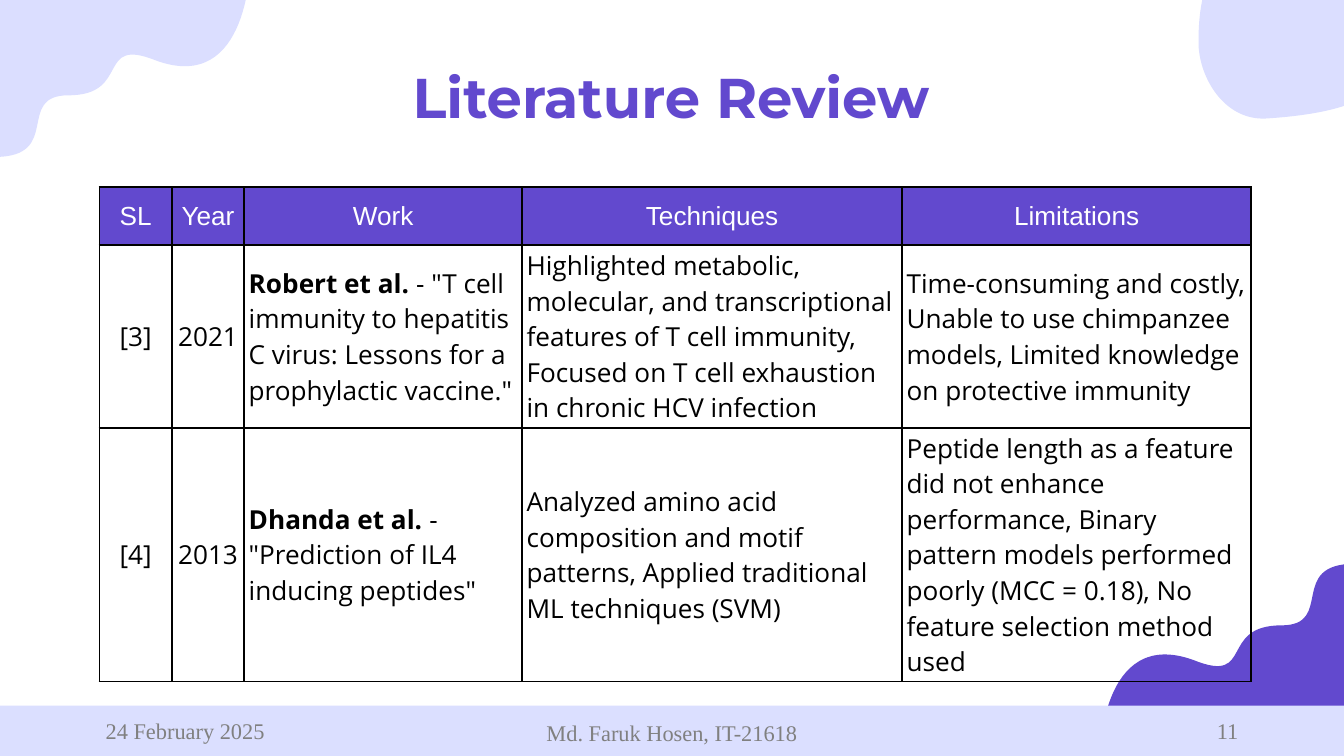
from lxml import etree
from pptx import Presentation
from pptx.dml.color import RGBColor
from pptx.enum.shapes import MSO_SHAPE
from pptx.enum.text import MSO_ANCHOR, PP_ALIGN
from pptx.oxml.ns import qn
from pptx.util import Pt

LEFT, CENTER, RIGHT = PP_ALIGN.LEFT, PP_ALIGN.CENTER, PP_ALIGN.RIGHT
TOP, MIDDLE = MSO_ANCHOR.TOP, MSO_ANCHOR.MIDDLE
RECTANGLE = MSO_SHAPE.RECTANGLE
TITLE_ONLY = 5

PURPLE, LAVENDER, BAR = "6249CE", "DBDEFF", "DBDFFF"
WHITE, BLACK, GRAY = "FFFFFF", "000000", "808080"

WAVE = [
    (0, 0),
    (137, 0), (137, 0), (137, 0),
    (137, 72), (86.4, 53.3), (86.4, 53.3),
    (54, 40.3), (73.4, 72), (39.6, 72),
    (10.8, 72), (36.7, 105), (0, 105),
]
WAVE[4:7] = [(137, 0), (137, 72), (86.4, 53.3)]
BLOB = [
    (688.3, -31),
    (680.4, -31.7), (672.5, -31.7), (665.3, -28.8),
    (659.5, -26.6), (655.9, -24.5), (651.6, -18.7),
    (644.4, -8.6), (641.5, 7.9), (642.2, 25.9),
    (643.7, 43.9), (657.4, 65.5), (679.7, 63.4),
    (702, 61.9), (729.4, 57.6), (737.3, 46.1),
    (753.1, 23), (730.8, -14.4), (716.4, -22.3),
    (707, -26.6), (697.7, -28.8), (688.3, -31),
]

COLUMN_WIDTHS = [38.8, 38.8, 148.9, 203.6, 187]
ROW_HEIGHTS = [31.2, 67, 101]
HEADER = ["SL", "Year", "Work", "Techniques", "Limitations"]
STUDIES = [
    ["[3]", "2021",
     ("Robert et al. ", '- "T cell immunity to hepatitis C virus: '
      'Lessons for a prophylactic vaccine."'),
     "Highlighted metabolic, molecular, and transcriptional features of "
     "T cell immunity, Focused on T cell exhaustion in chronic HCV infection",
     "Time-consuming and costly, Unable to use chimpanzee models, "
     "Limited knowledge on protective immunity"],
    ["[4]", "2013",
     ("Dhanda et al. ", '- "Prediction of IL4 inducing peptides"'),
     "Analyzed amino acid composition and motif patterns, "
     "Applied traditional ML techniques (SVM)",
     "Peptide length as a feature did not enhance performance, Binary pattern "
     "models performed poorly (MCC = 0.18), No feature selection method used"],
]


def color(value):
    return RGBColor.from_string(value)


def style_paragraph(paragraph, font_name, size, text_color, alignment, bold=False):
    paragraph.alignment = alignment
    font = paragraph.font
    font.name, font.size, font.bold = font_name, Pt(size), bold
    font.color.rgb = color(text_color)


def fill_shape(shape, fill_color):
    shape.shadow.inherit = False
    shape.fill.solid()
    shape.fill.fore_color.rgb = color(fill_color)
    shape.line.fill.background()


def add_curved_shape(slide, points, fill_color, origin=(0, 0), rotation=0):
    start, *controls = [(Pt(origin[0] + x), Pt(origin[1] + y)) for x, y in points]
    builder = slide.shapes.build_freeform(*start)
    builder.add_line_segments(controls, close=True)
    shape = builder.convert_to_shape()
    segments = list(shape._element.iter(qn("a:lnTo")))
    for index in range(0, len(controls), 3):
        first, *others = segments[index:index + 3]
        first.tag = qn("a:cubicBezTo")
        for segment in others:
            first.append(segment[0])
            segment.getparent().remove(segment)
    shape.rotation = rotation
    fill_shape(shape, fill_color)


def set_title(slide, text):
    title = slide.shapes.title
    title.left, title.top, title.width, title.height = Pt(26.6), Pt(26.3), Pt(666), Pt(45.4)
    frame = title.text_frame
    frame.margin_left = frame.margin_right = frame.margin_top = frame.margin_bottom = Pt(7.2)
    frame.vertical_anchor = TOP
    frame.text = text
    style_paragraph(frame.paragraphs[0], "Montserrat", 30, PURPLE, CENTER, bold=True)


def add_borders(cell):
    properties = cell._tc.get_or_add_tcPr()
    for index, side in enumerate(("a:lnL", "a:lnR", "a:lnT", "a:lnB")):
        line = etree.Element(qn(side), w=str(Pt(1)))
        fill = etree.SubElement(line, qn("a:solidFill"))
        etree.SubElement(fill, qn("a:srgbClr"), val=BLACK)
        properties.insert(index, line)


def fill_cell(cell, content, font_name, text_color, alignment, fill_color=None):
    cell.margin_left = cell.margin_right = Pt(2.4)
    cell.margin_top = cell.margin_bottom = Pt(1.2)
    cell.vertical_anchor = MIDDLE
    if fill_color:
        cell.fill.solid()
        cell.fill.fore_color.rgb = color(fill_color)
    else:
        cell.fill.background()
    paragraph = cell.text_frame.paragraphs[0]
    if isinstance(content, tuple):
        authors, work = content
        run = paragraph.add_run()
        run.text = authors
        run.font.bold = True
        paragraph.add_run().text = work
    else:
        paragraph.add_run().text = content
    style_paragraph(paragraph, font_name, 14, text_color, alignment)
    add_borders(cell)


def add_review_table(slide):
    table = slide.shapes.add_table(
        len(ROW_HEIGHTS), len(COLUMN_WIDTHS), Pt(53.3), Pt(100.2),
        Pt(sum(COLUMN_WIDTHS)), Pt(sum(ROW_HEIGHTS))).table
    table.first_row = table.horz_banding = False
    for column, width in zip(table.columns, COLUMN_WIDTHS):
        column.width = Pt(width)
    for row, height in zip(table.rows, ROW_HEIGHTS):
        row.height = Pt(height)
    for column, heading in enumerate(HEADER):
        fill_cell(table.cell(0, column), heading, "Arial", WHITE, CENTER, PURPLE)
    for row, study in enumerate(STUDIES, 1):
        for column, content in enumerate(study):
            alignment = CENTER if column < 2 else LEFT
            fill_cell(table.cell(row, column), content, "Open Sans", BLACK, alignment)


def add_footer_text(slide, text, left, top, width, height, alignment):
    frame = slide.shapes.add_textbox(Pt(left), Pt(top), Pt(width), Pt(height)).text_frame
    frame.word_wrap = True
    frame.vertical_anchor = MIDDLE
    frame.text = text
    style_paragraph(frame.paragraphs[0], "Times New Roman", 12, GRAY, alignment)


def add_footer(slide):
    bar = slide.shapes.add_shape(RECTANGLE, Pt(0), Pt(378), Pt(720), Pt(27))
    fill_shape(bar, BAR)
    add_footer_text(slide, "24 February 2025", 49.5, 380.4, 162, 21.6, LEFT)
    add_footer_text(slide, "Md. Faruk Hosen, IT-21618", 238.5, 380.4, 243, 24.6, CENTER)
    add_footer_text(slide, "11", 508.5, 378, 162, 27, RIGHT)


def main():
    presentation = Presentation()
    presentation.slide_width, presentation.slide_height = Pt(720), Pt(405)
    slide = presentation.slides.add_slide(presentation.slide_layouts[TITLE_ONLY])
    add_curved_shape(slide, WAVE, PURPLE, (589, 302), rotation=180)
    add_curved_shape(slide, WAVE, LAVENDER, (-2.9, -20.9))
    set_title(slide, "Literature Review")
    add_curved_shape(slide, BLOB, LAVENDER)
    add_review_table(slide)
    add_footer(slide)
    presentation.save("out.pptx")


if __name__ == "__main__":
    main()
